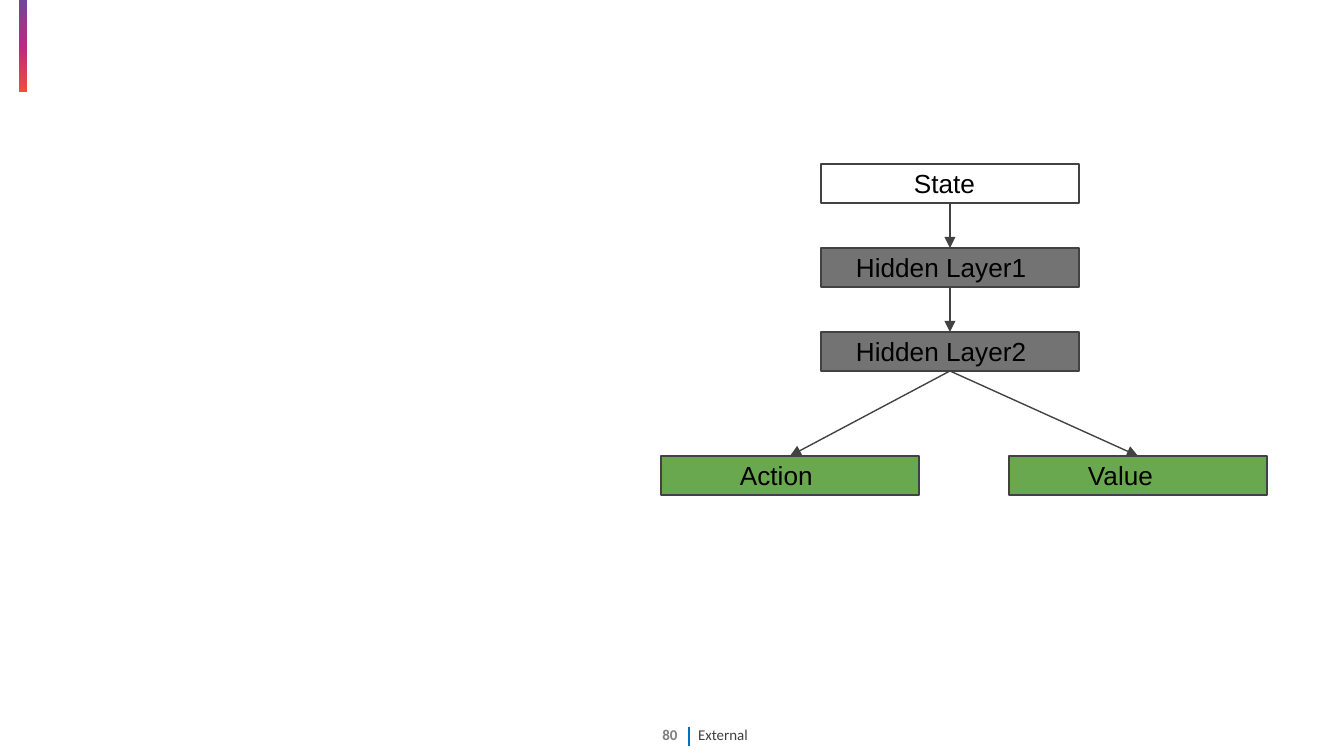
import copy

import pptx
import pptx.dml.color
import pptx.enum.shapes
import pptx.enum.text
import pptx.oxml
import pptx.util

RGB = pptx.dml.color.RGBColor
SHAPE = pptx.enum.shapes.MSO_SHAPE
ALIGN = pptx.enum.text.PP_ALIGN

WHITE = RGB(0xFF, 0xFF, 0xFF)
BLACK = RGB(0, 0, 0)
GRAY = RGB(0x73, 0x73, 0x73)
GREEN = RGB(0x6A, 0xA8, 0x4F)
OUTLINE = RGB(0x42, 0x42, 0x42)
BLUE = RGB(0x00, 0x70, 0xC0)
DARK = RGB(0x3F, 0x3F, 0x3F)
PAGE_GRAY = RGB(0x7F, 0x7F, 0x7F)
ACCENT = [RGB(0x73, 0x45, 0x9B), RGB(0xBA, 0x29, 0x83), RGB(0xF0, 0x4D, 0x38)]

# Network layers: label, left, top, text inset, fill
NODES = [
    ("State", 821, 164, 93, WHITE),
    ("Hidden Layer1", 821, 248, 35, GRAY),
    ("Hidden Layer2", 821, 332, 35, GRAY),
    ("Action", 661, 456, 79, GREEN),
    ("Value", 1009, 456, 79, GREEN),
]
EDGES = [
    ("State", "Hidden Layer1"),
    ("Hidden Layer1", "Hidden Layer2"),
    ("Hidden Layer2", "Action"),
    ("Hidden Layer2", "Value"),
]
NODE_W, NODE_H = 258, 39

# Footer: text, box, horizontal inset, alignment, font
FOOTER = [
    ("External", (685, 719, 177, 32), 13, ALIGN.LEFT, {"bold": False}, DARK),
    ("80", (648, 715, 44, 40), 9, ALIGN.CENTER, {"bold": True}, PAGE_GRAY),
]


def px(n):
    return pptx.util.Emu(round(n * 914400 / 134.4))


def write(s, text, left, right, align, font, color):
    tf = s.text_frame
    formats = {
        "word_wrap": True,
        "vertical_anchor": pptx.enum.text.MSO_ANCHOR.MIDDLE,
        "margin_left": px(left),
        "margin_right": px(right),
        "margin_top": px(5),
        "margin_bottom": px(5),
    }
    for name, value in formats.items():
        setattr(tf, name, value)
    p = tf.paragraphs[0]
    p.alignment = align
    r = p.add_run()
    r.text = text
    for name, value in font.items():
        setattr(r.font, name, value)
    r.font.color.rgb = color


def add_line(shapes, x1, y1, x2, y2, color):
    s = shapes.add_connector(pptx.enum.shapes.MSO_CONNECTOR.STRAIGHT,
                             px(x1), px(y1), px(x2), px(y2))
    s.line.color.rgb = color
    s.line.width = pptx.util.Pt(0.75)
    pptx.oxml.xmlchemy.OxmlElement  # element factory used below
    s._element.spPr.append(pptx.oxml.xmlchemy.OxmlElement("a:effectLst"))
    return s


prs = pptx.Presentation()
prs.slide_width, prs.slide_height = px(1344), px(756)
shapes = prs.slides.add_slide(prs.slide_layouts[6]).shapes

# Accent bar, turned upright
s = shapes.add_shape(SHAPE.RECTANGLE, px(-23), px(42), px(92), px(8))
s.rotation = 90
s.shadow.inherit = False
s.line.fill.background()
s.fill.gradient()
s.fill.gradient_angle = 0
stops = s.fill._fill._gradFill.gsLst
stops.append(copy.deepcopy(stops[-1]))
for i, (stop, color) in enumerate(zip(s.fill.gradient_stops, ACCENT)):
    stop.position = i / 2
    stop.color.rgb = color

# Footer
for text, box, inset, align, font, color in FOOTER:
    s = shapes.add_textbox(*map(px, box))
    write(s, text, inset, inset, align,
          {"name": "Calibri", "size": pptx.util.Pt(8), **font}, color)
add_line(shapes, 689, 727, 689, 746, BLUE)

# Layer boxes
boxes = {}
for label, x, y, inset, fill in NODES:
    s = shapes.add_shape(SHAPE.RECTANGLE, px(x), px(y), px(NODE_W), px(NODE_H))
    s.shadow.inherit = False
    s.fill.solid()
    s.fill.fore_color.rgb = fill
    s.line.color.rgb = OUTLINE
    s.line.width = pptx.util.Pt(0.75)
    write(s, label, inset, 13, ALIGN.LEFT,
          {"name": "Arial", "size": pptx.util.Pt(14)}, BLACK)
    boxes[label] = s

# Arrows from bottom middle to top middle
for start, end in EDGES:
    s = add_line(shapes, 0, 0, 0, 0, OUTLINE)
    s.begin_connect(boxes[start], 2)
    s.end_connect(boxes[end], 0)
    tail = pptx.oxml.xmlchemy.OxmlElement("a:tailEnd")
    tail.set("type", "triangle")
    s.line._get_or_add_ln().append(tail)

prs.save("out.pptx")
